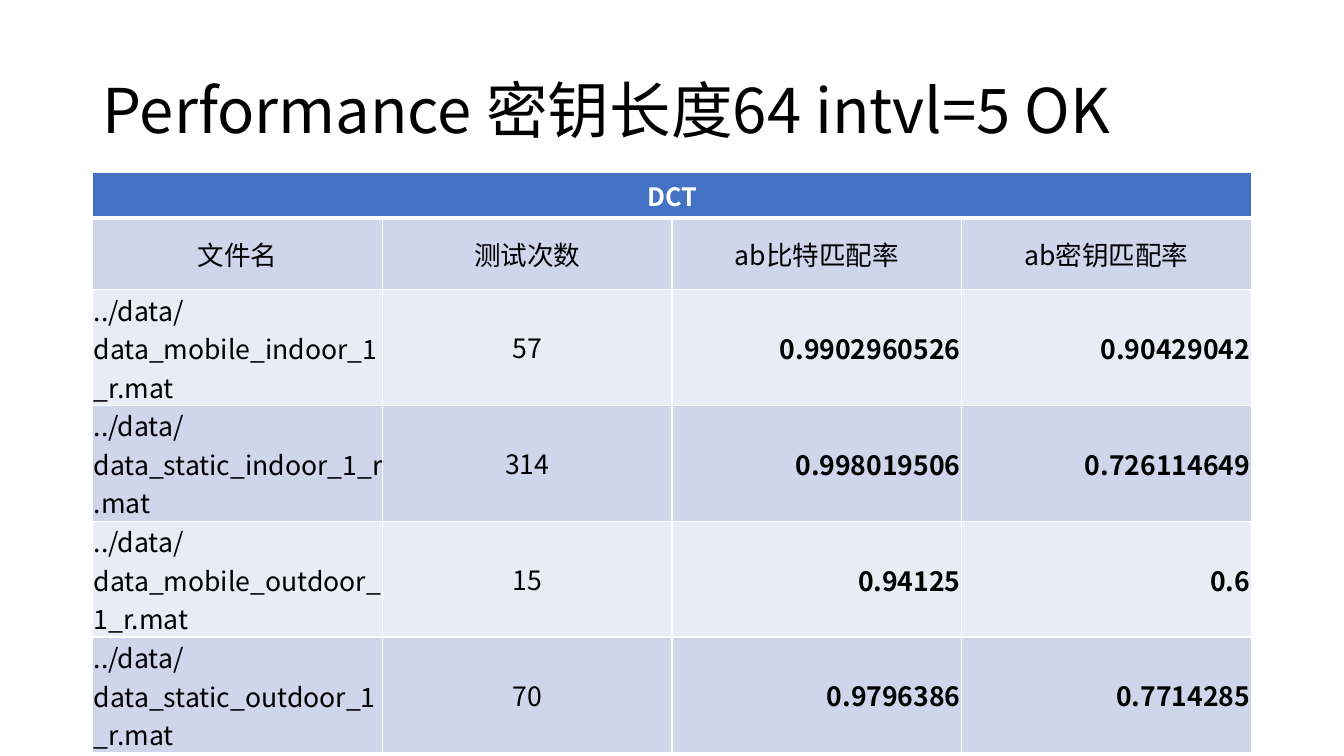
import pptx
import pptx.dml.color
import pptx.enum.text
import pptx.oxml.xmlchemy
import pptx.util
from pptx.util import Inches

FONT = "Noto Sans CJK SC"
ALIGN = pptx.enum.text.PP_ALIGN
MIDDLE = pptx.enum.text.MSO_ANCHOR.MIDDLE

HEADINGS = ["文件名", "测试次数", "ab比特匹配率", "ab密钥匹配率"]
RESULTS = [
    ["../data/data_mobile_indoor_1_r.mat", "57", "0.9902960526", "0.90429042"],
    ["../data/data_static_indoor_1_r.mat", "314", "0.998019506", "0.726114649"],
    ["../data/data_mobile_outdoor_1_r.mat", "15", "0.94125", "0.6"],
    ["../data/data_static_outdoor_1_r.mat", "70", "0.9796386", "0.7714285"],
]
RESULT_ALIGNS = [ALIGN.LEFT, ALIGN.CENTER, ALIGN.RIGHT, ALIGN.RIGHT]
ROW_HEIGHTS = [0.45, 0.71] + [1.15] * len(RESULTS)
TABLE_WIDTH = 11.49


def rgb(value):
    return pptx.dml.color.RGBColor.from_string(value)


def add_element(parent, tag, **attributes):
    element = pptx.oxml.xmlchemy.OxmlElement(tag)
    for name, value in attributes.items():
        element.set(name, value)
    parent.append(element)
    return element


def write_text(frame, text, size, color="000000", bold=False, align=ALIGN.LEFT):
    """Write one run with the same Latin and East Asian typeface."""
    para = frame.paragraphs[0]
    para.alignment = align
    span = para.add_run()
    span.text = text
    formats = {"name": FONT, "size": pptx.util.Pt(size), "bold": bold}
    for name, value in formats.items():
        setattr(span.font, name, value)
    span.font.color.rgb = rgb(color)
    add_element(span.font._element, "a:ea", typeface=FONT)
    return para


def add_title(page, text):
    box = page.shapes.add_textbox(Inches(0.92), Inches(0.4), Inches(11.5), Inches(1.45))
    frame = box.text_frame
    frame.word_wrap = True
    frame.vertical_anchor = MIDDLE
    write_text(frame, text, 44).line_spacing = 0.9


def style_cell(cell, fill, top=1, bottom=1):
    """Set white borders, with top and bottom widths in points, and the fill."""
    properties = cell._tc.get_or_add_tcPr()
    for side, width in {"L": 1, "R": 1, "T": top, "B": bottom}.items():
        line = add_element(properties, "a:ln" + side, w=str(pptx.util.Pt(width)))
        add_element(add_element(line, "a:solidFill"), "a:srgbClr", val="FFFFFF")
    cell.fill.solid()
    cell.fill.fore_color.rgb = rgb(fill)
    cell.vertical_anchor = MIDDLE


def tighten_margins(cell):
    margins = {"left": 0.01, "right": 0.01, "top": 0.01, "bottom": 0}
    for side, margin in margins.items():
        setattr(cell, "margin_" + side, Inches(margin))


def add_results_table(page):
    table = page.shapes.add_table(
        len(ROW_HEIGHTS), len(HEADINGS),
        Inches(0.92), Inches(1.71), Inches(TABLE_WIDTH), Inches(sum(ROW_HEIGHTS)),
    ).table
    for row, height in zip(table.rows, ROW_HEIGHTS):
        row.height = Inches(height)
    for column in table.columns:
        column.width = Inches(TABLE_WIDTH / len(HEADINGS))

    for cell in table.rows[0].cells:
        style_cell(cell, "4472C4", bottom=3)
    banner = table.cell(0, 0)
    banner.merge(table.cell(0, len(HEADINGS) - 1))
    write_text(banner.text_frame, "DCT", 18, "FFFFFF", True, ALIGN.CENTER)

    for index, heading in enumerate(HEADINGS):
        cell = table.cell(1, index)
        style_cell(cell, "CFD5EA", top=3)
        write_text(cell.text_frame, heading, 19, align=ALIGN.CENTER)

    for row_index, values in enumerate(RESULTS, start=2):
        fill = "CFD5EA" if row_index % 2 else "E9EBF5"
        for index, (value, align) in enumerate(zip(values, RESULT_ALIGNS)):
            cell = table.cell(row_index, index)
            style_cell(cell, fill)
            if align != ALIGN.CENTER:
                tighten_margins(cell)
            write_text(cell.text_frame, value, 19, bold=align == ALIGN.RIGHT, align=align)


def main():
    deck = pptx.Presentation()
    deck.slide_width = Inches(13.33)
    deck.slide_height = Inches(7.5)
    page = deck.slides.add_slide(deck.slide_layouts[6])
    add_title(page, "Performance 密钥长度64 intvl=5 OK")
    add_results_table(page)
    deck.save("out.pptx")


if __name__ == "__main__":
    main()
